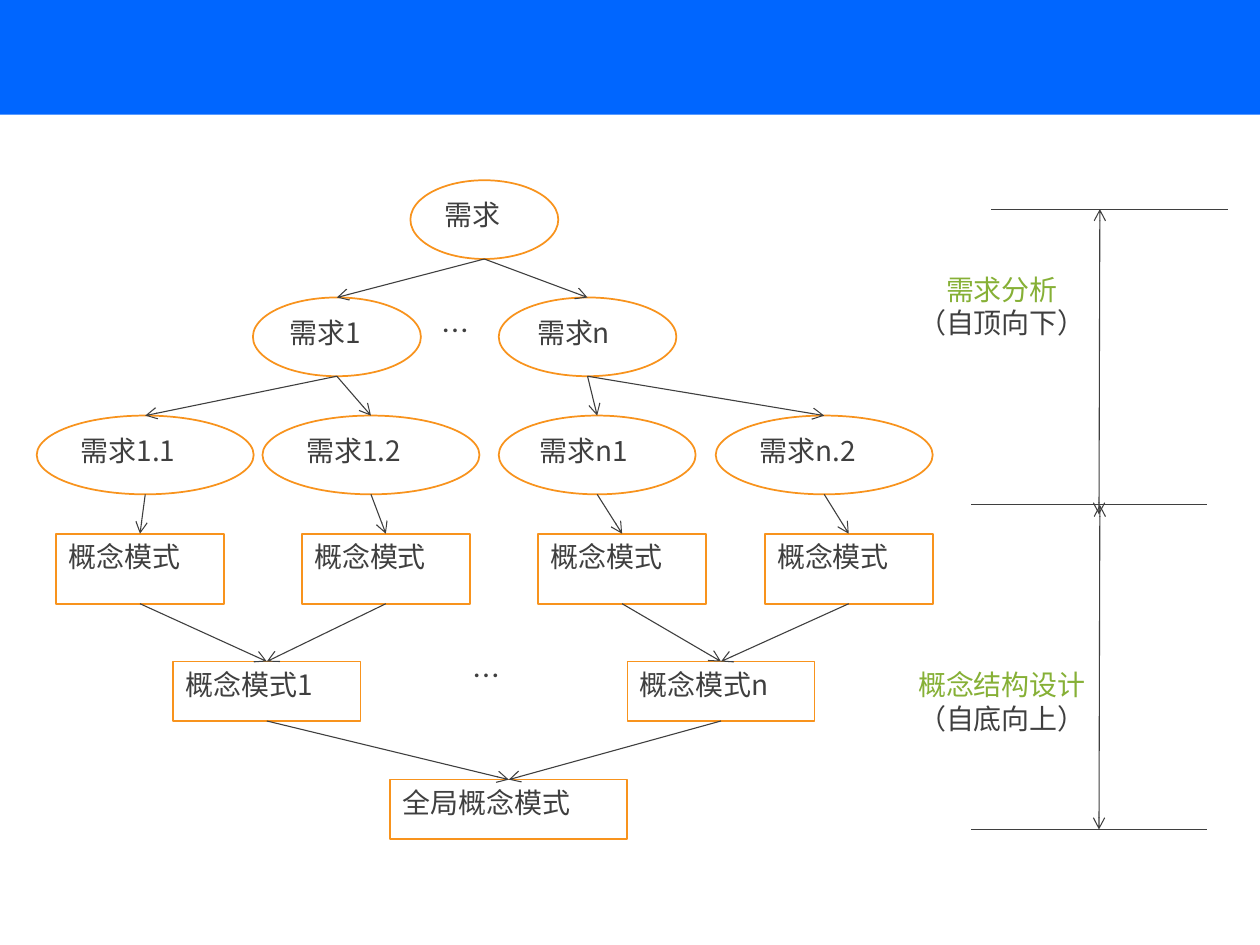
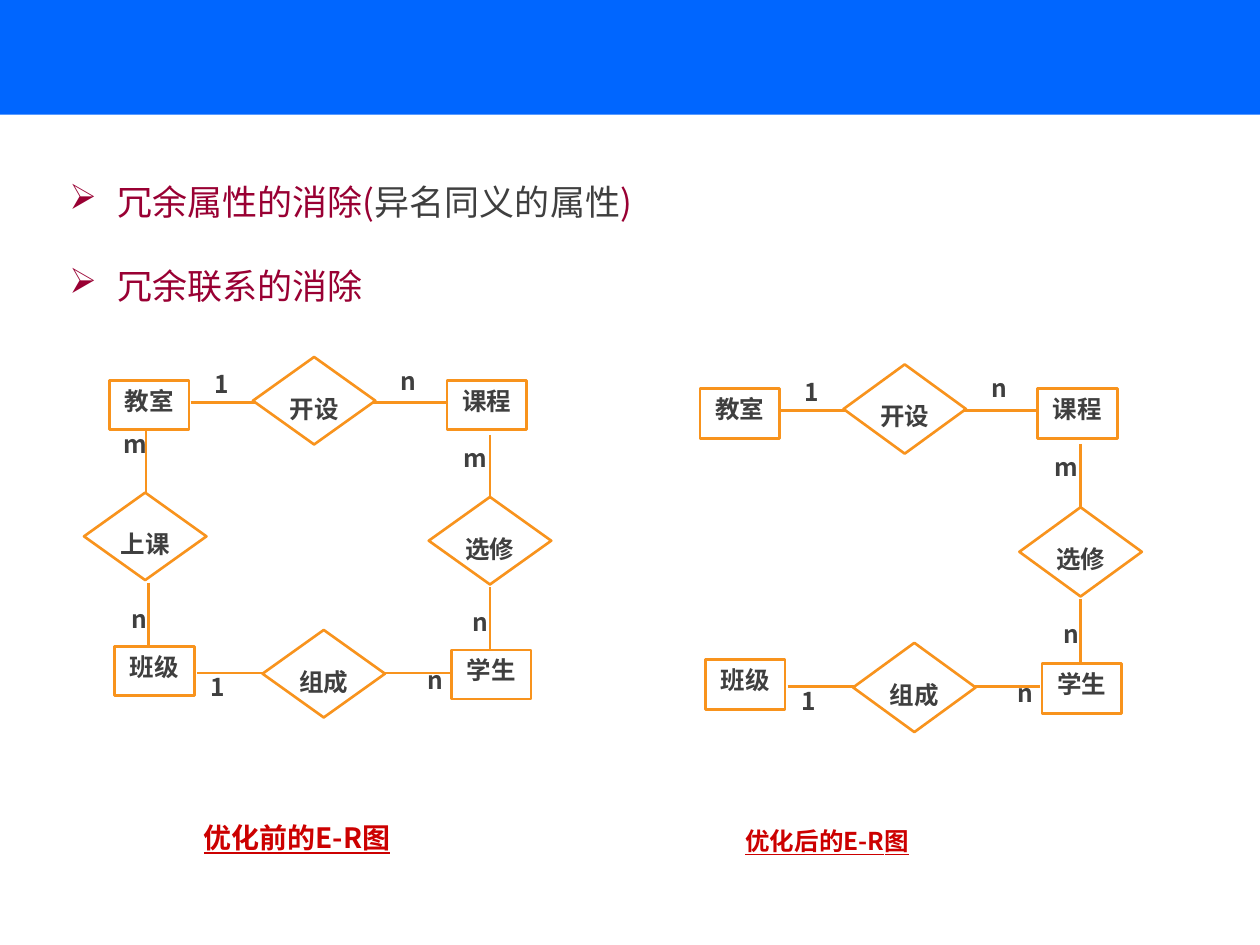
from lxml import etree
from pptx import Presentation
from pptx.dml.color import RGBColor
from pptx.enum import shapes, text
from pptx.oxml.ns import qn
from pptx.util import Pt

FONT = "Noto Sans CJK SC"
BLUE, ORANGE, DARK = "0066FF", "F8931D", "3F3F3F"
GREEN, WINE, RED = "86B036", "990033", "CC0000"
KIND = shapes.MSO_SHAPE
MID = text.PP_ALIGN.CENTER


def color(code):
    return RGBColor.from_string(code)


def sub(node, tag, **attrs):
    return etree.SubElement(node, qn(tag), attrs)


def write(shape, paras, size=16, bold=False, line=False, align=None,
          space=None, inset=None, wrap=True, bullet=None, indent=27.5):
    """Fill a shape with paragraphs, each a list of (text, colour) runs."""
    frame = shape.text_frame
    frame.word_wrap = wrap
    frame.vertical_anchor = text.MSO_ANCHOR.TOP
    if inset is not None:
        frame.margin_left = frame.margin_right = frame.margin_bottom = 0
        frame.margin_top = Pt(inset)
    for i, runs in enumerate(paras):
        para = frame.paragraphs[0] if i == 0 else frame.add_paragraph()
        para.alignment = align or text.PP_ALIGN.LEFT
        if space:
            para.line_spacing = space
        if bullet:
            props = para._p.get_or_add_pPr()
            props.set("marL", str(Pt(indent)))
            props.set("indent", str(-Pt(indent)))
            sub(props, "a:buChar", char=bullet)
        for words, code in runs:
            run = para.add_run()
            run.text = words
            font = run.font
            font.size, font.bold, font.underline = Pt(size), bold, line
            font.color.rgb = color(code)
            font.name = FONT
            sub(run._r.get_or_add_rPr(), "a:ea", typeface=FONT)


class Deck:
    def __init__(self):
        self.prs = Presentation()
        self.prs.slide_width, self.prs.slide_height = Pt(720), Pt(540)
        self.slide = None

    def page(self):
        """Start a slide with the blue band on top."""
        self.slide = self.prs.slides.add_slide(self.prs.slide_layouts[6])
        band = self.shape(KIND.RECTANGLE, 0, 0, 720, 65.5)
        band.fill.solid()
        band.fill.fore_color.rgb = color(BLUE)
        band.line.fill.background()

    def shape(self, kind, x, y, w, h, width=1):
        item = self.slide.shapes.add_shape(kind, Pt(x), Pt(y), Pt(w), Pt(h))
        item.shadow.inherit = False
        item.fill.background()
        item.line.color.rgb = color(ORANGE)
        item.line.width = Pt(width)
        return item

    def node(self, kind, x, y, w, h, words, width=1, **style):
        item = self.shape(kind, x, y, w, h, width)
        write(item, [[(words, DARK)]], **style)

    def label(self, x, y, w, h, paras, **style):
        box = self.slide.shapes.add_textbox(Pt(x), Pt(y), Pt(w), Pt(h))
        write(box, paras, **style)

    def line(self, x1, y1, x2, y2, code=DARK, width=0.63, ends=()):
        item = self.slide.shapes.add_connector(
            shapes.MSO_CONNECTOR.STRAIGHT, Pt(x1), Pt(y1), Pt(x2), Pt(y2))
        item.line.color.rgb = color(code)
        item.line.width = Pt(width)
        for end in ends:
            sub(item.line._get_or_add_ln(), f"a:{end}End", type="arrow")
        sub(item._element.spPr, "a:effectLst")


# Rows of the tree: shape, top, height, then (left, width, text)
OVAL, RECT = KIND.OVAL, KIND.RECTANGLE
ROWS = [
    (OVAL, 103, 45, [(234.5, 84.5, "需求")]),
    (OVAL, 170, 45, [(144.5, 96, "需求1"), (285, 101.5, "需求n")]),
    (OVAL, 237.5, 45, [(21, 124, "需求1.1"), (150, 124, "需求1.2"),
                       (285, 112.5, "需求n1"), (409, 124, "需求n.2")]),
    (RECT, 305, 40, [(x, 96, "概念模式") for x in (32, 172.5, 307.5, 437)]),
    (RECT, 378, 34, [(99, 107, "概念模式1"), (358.5, 107, "概念模式n")]),
    (RECT, 445.5, 34, [(223, 135.5, "全局概念模式")]),
]


def tree(deck):
    deck.page()
    for kind, top, high, nodes in ROWS:
        for x, w, words in nodes:
            deck.node(kind, x, top, w, high, words)

    # Arrows: the longer of two rows shares out the shorter one
    for (_, top, high, ups), (_, low, _, downs) in zip(ROWS, ROWS[1:]):
        count = max(len(ups), len(downs))
        for i in range(count):
            x1, w1, _ = ups[i * len(ups) // count]
            x2, w2, _ = downs[i * len(downs) // count]
            deck.line(x1 + w1 / 2, top + high, x2 + w2 / 2, low, ends=["tail"])
    for x, y in ((245.5, 175.5), (263, 373)):
        deck.label(x, y, 27.5, 26.5, [[("…", DARK)]], wrap=False)

    # Phases on the right
    for x, y in ((566.5, 119.5), (555, 474), (555, 288.5)):
        deck.line(x, y, x + 135, y)
    for y1, y2 in ((119.5, 294), (288.5, 474)):
        deck.line(628.5, y1, 628, y2, ends=["head", "tail"])
    for y, name, way in ((152, "需求分析", "（自顶向下）"),
                         (378, "概念结构设计", "（自底向上）")):
        deck.label(517.5, y, 110, 46, [[(name, GREEN)], [(way, DARK)]],
                   align=MID, wrap=False)


# Parts of the E-R diagram; the second list of each is the redundant link
MARKS = ([("n", 242, 381), ("1", 118, 385), ("n", 268, 348), ("n", 227, 210),
          ("1", 120, 212), ("m", 265, 254)],
         [("n", 73, 346), ("m", 70.5, 246)])
LINKS = ([("选修", 245, 284), ("开设", 144.5, 204), ("组成", 150, 360)],
         [("上课", 48, 281.5)])
LINES = ([(109, 230, 146, 230), (213, 230, 255.5, 230),
          (280, 248.5, 280, 285), (280, 335.5, 280, 372),
          (112.5, 384.5, 150.5, 384.5), (219, 384.5, 257, 384.5)],
         [(85, 333, 85, 370), (83.5, 245.5, 83.5, 282)])
UNITS = [("教室", 62.5, 217.5), ("课程", 255.5, 217.5),
         ("班级", 65.5, 369.5), ("学生", 258, 371.5)]


def graph(deck, left, top, wide=1, tall=1, full=True):
    """Draw the E-R diagram from its first unit, scaled both ways."""
    def spot(x, y):
        return left + (x - 62.5) * wide, top + (y - 217.5) * tall

    def pick(parts):
        return parts[0] + (parts[1] if full else [])

    bold = dict(size=14, bold=True, align=MID)
    for words, x, y in pick(MARKS):
        deck.label(*spot(x, y), 13, 18 * tall, [[(words, DARK)]],
                   space=0.85, inset=1.5, **bold)
    for words, x, y in pick(LINKS):
        deck.node(KIND.DIAMOND, *spot(x, y), 70 * wide, 50 * tall, words,
                  width=1.5, space=1.5, inset=0, **bold)
    for words, x, y in UNITS:
        deck.node(RECT, *spot(x, y), 45.5 * wide, 28 * tall, words,
                  width=1.5, inset=3, **bold)
    for x1, y1, x2, y2 in pick(LINES):
        deck.line(*spot(x1, y1), *spot(x2, y2), code=ORANGE, width=1.5)


def merge(deck):
    deck.page()
    deck.label(32.5, 75.5, 641.5, 104.5, [
        [("冗余属性的消除(", WINE), ("异名同义的属性", DARK), (")", WINE)],
        [("冗余联系的消除", WINE)],
    ], size=20, space=2, bullet="➢")

    # Diagrams before and after, with captions
    graph(deck, 62.5, 217.5)
    graph(deck, 400, 222, wide=1, tall=1.02, full=False)
    for x, y, w, words, size in ((116.5, 469, 184, "优化前的E-R图", 16),
                                 (426, 472, 177, "优化后的E-R图", 14)):
        deck.label(x, y, w, 19, [[(words, RED)]], size=size, bold=True,
                   line=True, inset=0)


def main():
    deck = Deck()
    tree(deck)
    merge(deck)
    deck.prs.save("out.pptx")


if __name__ == "__main__":
    main()
